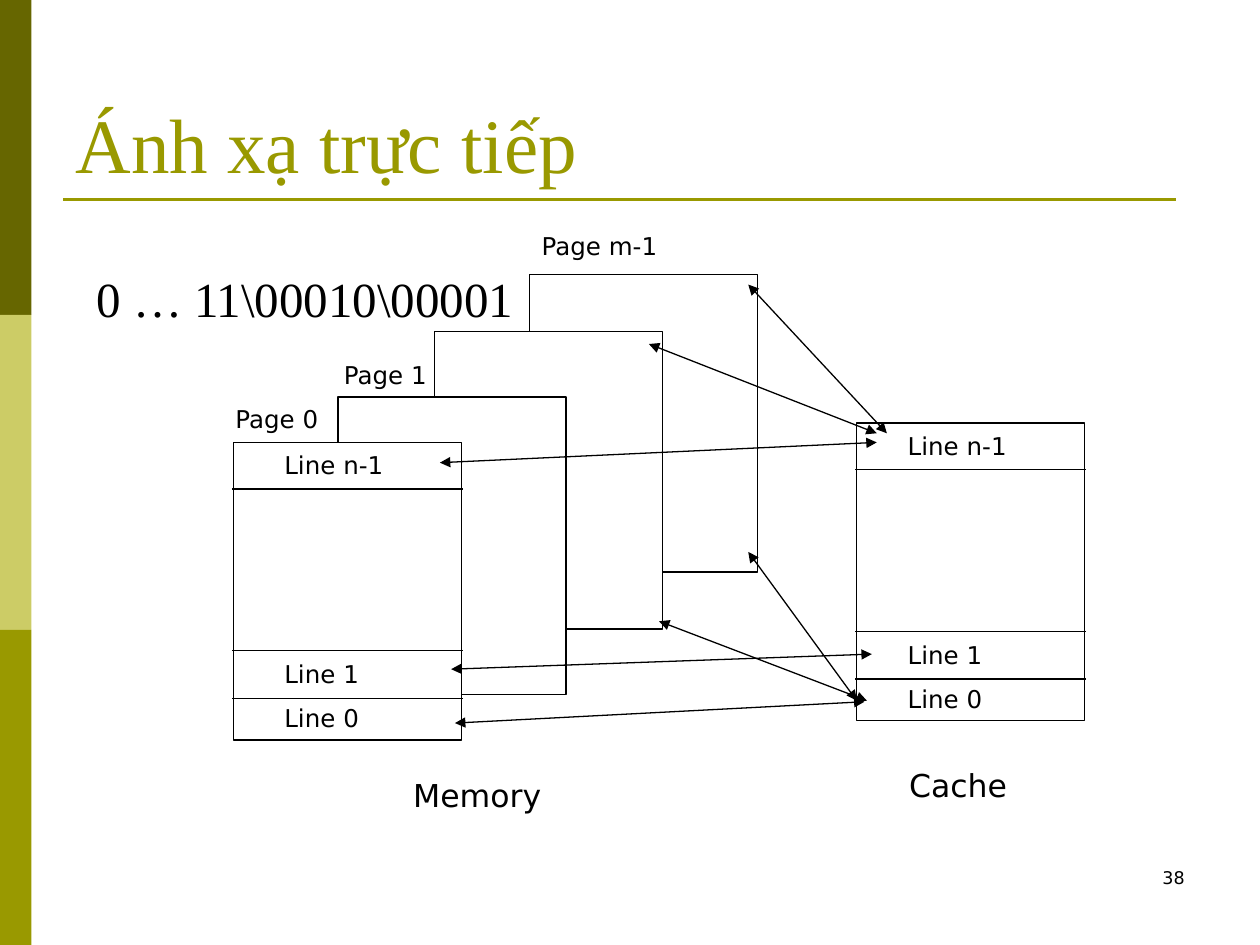
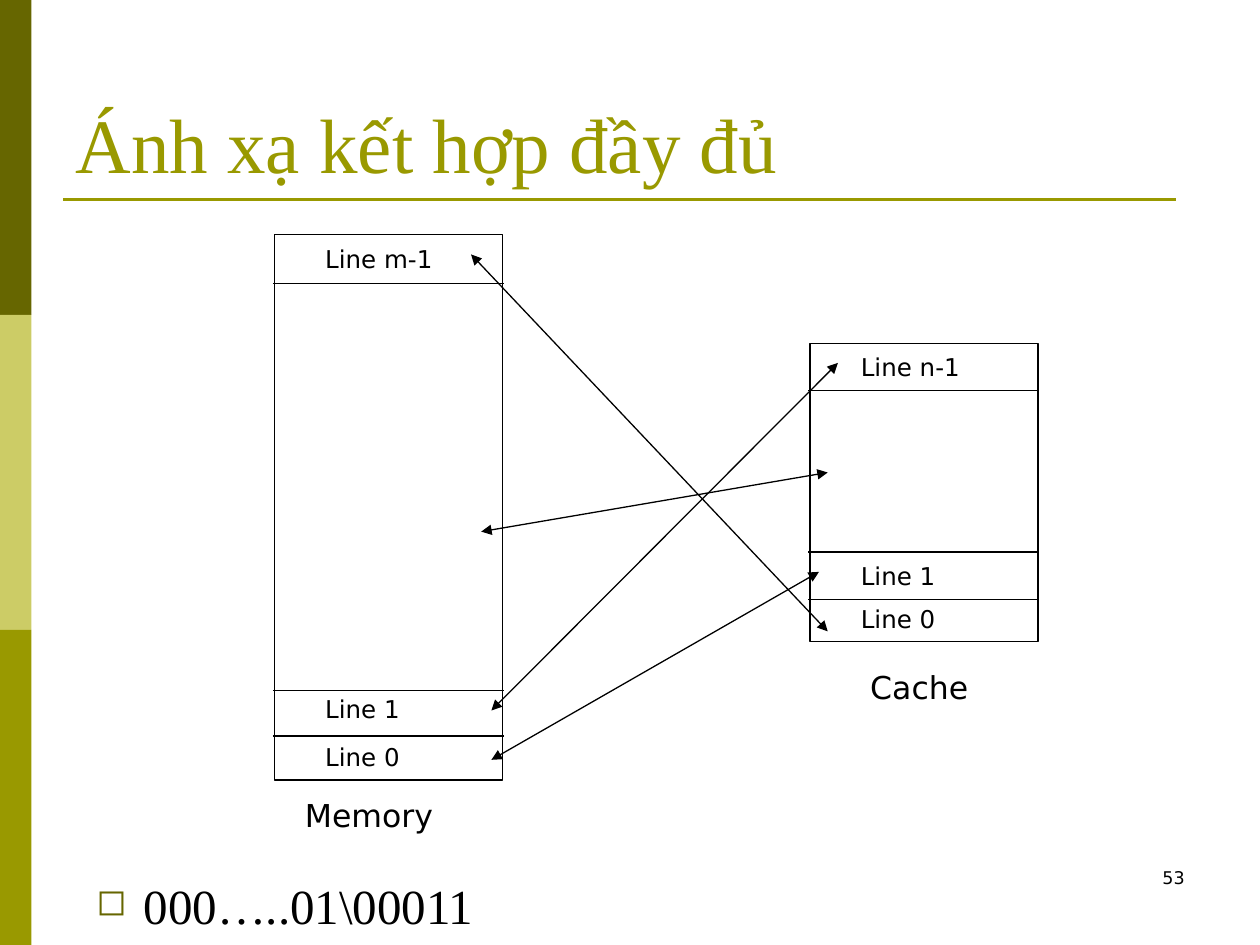
from typing import NamedTuple

from lxml.etree import SubElement
from pptx import Presentation
from pptx.dml.color import RGBColor
from pptx.enum.shapes import MSO_CONNECTOR, MSO_SHAPE
from pptx.enum.text import MSO_ANCHOR, MSO_AUTO_SIZE, PP_ALIGN
from pptx.oxml.ns import qn
from pptx.util import Pt

BLACK = RGBColor(0x00, 0x00, 0x00)
WHITE = RGBColor(0xFF, 0xFF, 0xFF)
OLIVE = RGBColor(0x99, 0x99, 0x00)
DARK_OLIVE = RGBColor(0x66, 0x66, 0x00)
LIGHT_OLIVE = RGBColor(0xCC, 0xCC, 0x66)

SERIF = "Times New Roman"
SANS = "DejaVu Sans"

BAND_WIDTH, BAND_HEIGHT = 18, 180
BLOCK_WIDTH = 130.3
LABEL_WIDTH = 95
DIVIDER_OVERHANG = 0.8
LABEL_INDENT = 22


class Block(NamedTuple):
    height: float
    dividers: tuple
    label_tops: tuple


SMALL_BLOCK = Block(170, (26.6, 119, 146.2), (1, 120.4, 145.4))
TALL_BLOCK = Block(311.8, (28, 260.6, 286.6), (2, 259.2, 286.6))


def format_paragraph(paragraph, size, font_name, color=BLACK, alignment=PP_ALIGN.LEFT):
    paragraph.alignment = alignment
    paragraph.font.size = Pt(size)
    paragraph.font.name = font_name
    paragraph.font.color.rgb = color


def add_rectangle(slide, left, top, width, height, fill, outline=None):
    shape = slide.shapes.add_shape(
        MSO_SHAPE.RECTANGLE, Pt(left), Pt(top), Pt(width), Pt(height))
    shape.shadow.inherit = False
    shape.fill.solid()
    shape.fill.fore_color.rgb = fill
    if outline is None:
        shape.line.fill.background()
    else:
        shape.line.color.rgb = outline
        shape.line.width = Pt(0.75)


def add_line(slide, start, end, color=BLACK, width=0.75):
    x1, y1 = start
    x2, y2 = end
    connector = slide.shapes.add_connector(
        MSO_CONNECTOR.STRAIGHT, Pt(x1), Pt(y1), Pt(x2), Pt(y2))
    connector.line.color.rgb = color
    connector.line.width = Pt(width)
    SubElement(connector.element.spPr, qn("a:effectLst"))
    return connector


def add_double_arrow(slide, start, end):
    outline = add_line(slide, start, end).line._get_or_add_ln()
    for tag in ("a:headEnd", "a:tailEnd"):
        SubElement(outline, qn(tag), type="triangle")


def add_text(slide, text, left, top, width, size, font_name=SANS, alignment=PP_ALIGN.LEFT):
    height = size * 1.17 + 7.2
    box = slide.shapes.add_textbox(Pt(left), Pt(top), Pt(width), Pt(height))
    box.text_frame.word_wrap = True
    paragraph = box.text_frame.paragraphs[0]
    paragraph.text = text
    format_paragraph(paragraph, size, font_name, alignment=alignment)
    return paragraph


def add_bulleted_text(slide, text, left, top, width, size):
    paragraph = add_text(slide, text, left, top, width, size, SERIF)
    properties = paragraph._p.get_or_add_pPr()
    properties.set("marL", str(Pt(27)))
    properties.set("indent", str(Pt(-27)))
    bullet_color = SubElement(properties, qn("a:buClr"))
    SubElement(bullet_color, qn("a:srgbClr"), val=str(DARK_OLIVE))
    SubElement(properties, qn("a:buSzPct"), val="75000")
    SubElement(properties, qn("a:buChar"), char="◻")
    run_defaults = properties.find(qn("a:defRPr"))
    properties.remove(run_defaults)
    properties.append(run_defaults)


def add_block(slide, left, top, block, labels):
    add_rectangle(slide, left, top, BLOCK_WIDTH, block.height, WHITE, BLACK)
    for offset in block.dividers:
        add_line(slide, (left - DIVIDER_OVERHANG, top + offset),
                 (left + BLOCK_WIDTH + DIVIDER_OVERHANG, top + offset))
    for label, offset in zip(labels, block.label_tops):
        add_text(slide, label, left + LABEL_INDENT, top + offset, LABEL_WIDTH, 14)


def add_labels(slide, labels, size):
    for text, left, top in labels:
        add_text(slide, text, left, top, LABEL_WIDTH, size)


def add_base_slide(presentation, title_text, number):
    slide = presentation.slides.add_slide(presentation.slide_layouts[5])
    for index, color in enumerate((DARK_OLIVE, LIGHT_OLIVE, OLIVE)):
        add_rectangle(slide, 0, index * BAND_HEIGHT, BAND_WIDTH, BAND_HEIGHT, color)
    add_line(slide, (36, 114), (672, 114), OLIVE, 1.5)

    title = slide.shapes.title
    title.left, title.top, title.width, title.height = Pt(36), Pt(21.6), Pt(648), Pt(90)
    title.text_frame.text = title_text
    title.text_frame.auto_size = MSO_AUTO_SIZE.NONE
    title.text_frame.vertical_anchor = MSO_ANCHOR.BOTTOM
    format_paragraph(title.text_frame.paragraphs[0], 44, SERIF, OLIVE)

    add_text(slide, number, 516, 492, 168, 10, alignment=PP_ALIGN.RIGHT)
    return slide


def build_direct_mapping(presentation):
    slide = add_base_slide(presentation, "Ánh xạ trực tiếp", "38")
    add_text(slide, "0 … 11\\00010\\00001", 48, 150, 270, 28, SERIF)
    for left, top in ((302.4, 156.8), (248.4, 189.4), (193.2, 226.8)):
        add_rectangle(slide, left, top, BLOCK_WIDTH, SMALL_BLOCK.height, WHITE, BLACK)
    for left, top in ((489.6, 241.8), (133.4, 252.9)):
        add_block(slide, left, top, SMALL_BLOCK, ("Line n-1", "Line 1", "Line 0"))
    add_labels(slide, (("Cache", 512.4, 434.2), ("Memory", 229, 440)), 18)
    add_labels(slide, (("Page 0", 127.4, 227.5), ("Page 1", 189.4, 202.3),
                       ("Page m-1", 302.4, 128.2)), 14)
    for start, end in (
        ((260, 413.2), (494, 401)),
        ((257.8, 382.4), (498.2, 373.8)),
        ((251.4, 264.4), (501, 252.8)),
        ((427.6, 162.6), (506.8, 247.6)),
        ((370.8, 196.6), (501, 247.6)),
        ((427.6, 315.4), (489.6, 400.4)),
        ((376.6, 355), (495.4, 400.4)),
    ):
        add_double_arrow(slide, start, end)


def build_associative_mapping(presentation):
    slide = add_base_slide(presentation, "Ánh xạ kết hợp đầy đủ", "53")
    add_bulleted_text(slide, "000…..01\\00011", 48, 496.5, 400, 28)
    add_block(slide, 462.8, 196.4, SMALL_BLOCK, ("Line n-1", "Line 1", "Line 0"))
    add_block(slide, 156.7, 134, TALL_BLOCK, ("Line m-1", "Line 1", "Line 0"))
    add_labels(slide, (("Cache", 490.2, 378), ("Memory", 167.2, 451.6)), 18)
    for start, end in (
        ((280.8, 434.2), (468, 326.8)),
        ((280.8, 406), (478.8, 207.4)),
        ((269.2, 145.4), (473, 360.8)),
        ((275, 303.8), (473, 270)),
    ):
        add_double_arrow(slide, start, end)


def main():
    presentation = Presentation()
    presentation.slide_width, presentation.slide_height = Pt(720), Pt(540)
    build_direct_mapping(presentation)
    build_associative_mapping(presentation)
    presentation.save("out.pptx")


if __name__ == "__main__":
    main()
